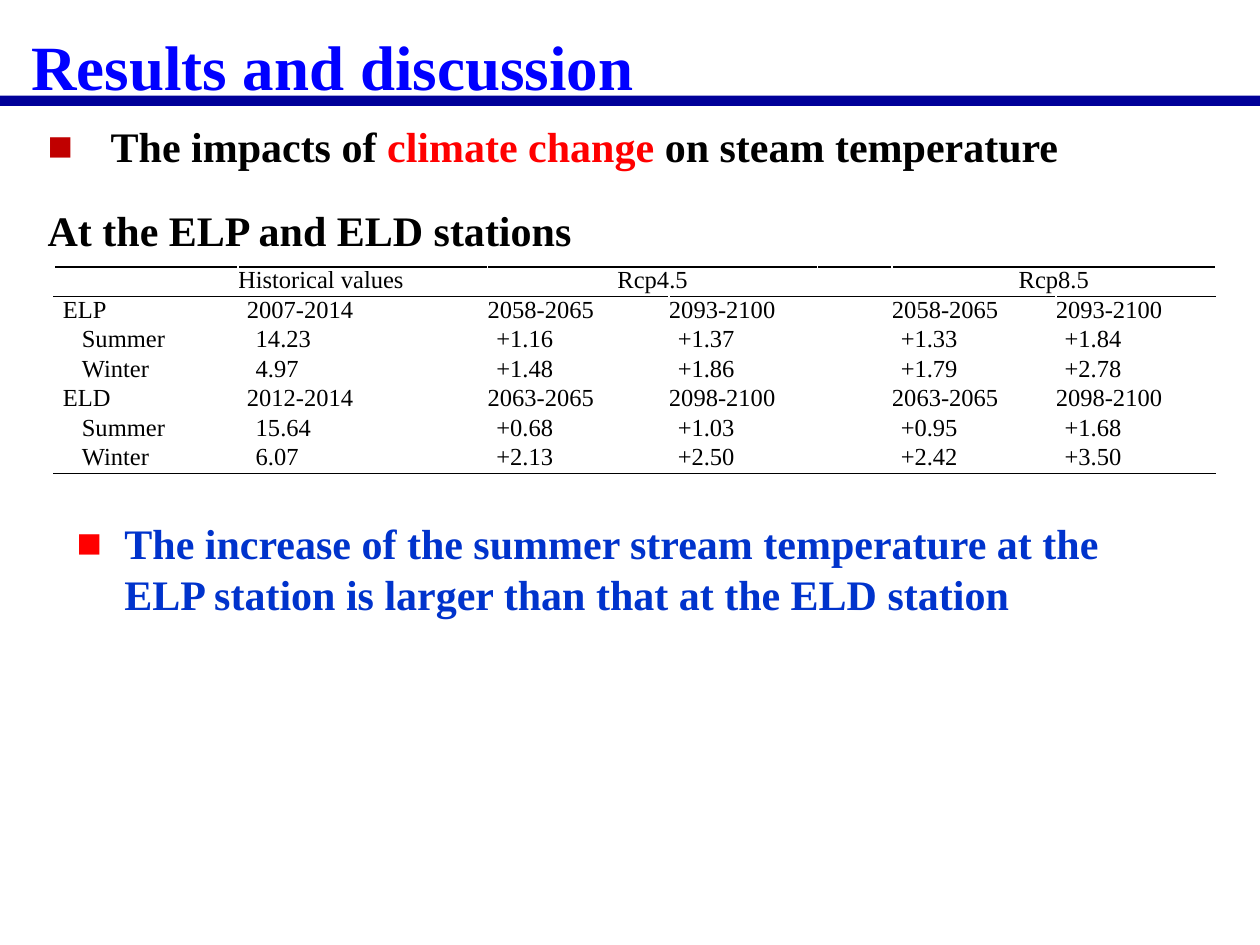
from dataclasses import dataclass
from typing import Any

from lxml.etree import SubElement
from pptx import Presentation
from pptx.dml.color import RGBColor
from pptx.enum.shapes import MSO_SHAPE as Shape
from pptx.enum.text import MSO_ANCHOR as Anchor, PP_ALIGN as Align
from pptx.oxml.ns import qn
from pptx.util import Inches, Pt

BLACK = RGBColor(0, 0, 0)
TITLE_BLUE = RGBColor(0, 0, 0xFF)
RULE_BLUE = RGBColor(0, 0, 0x99)
FINDING_BLUE = RGBColor(0, 0x33, 0xCC)
RED = RGBColor(0xFF, 0, 0)
DARK_RED = RGBColor(0xC0, 0, 0)

COLUMN_WIDTHS = [1.46, 1.98, 1.44, 1.18, 0.59, 1.3, 1.27]
TABLE_ROWS = [
    ["", "Historical values", "Rcp4.5", "", "", "Rcp8.5", ""],
    ["ELP", "2007-2014", "2058-2065", "2093-2100", "", "2058-2065", "2093-2100"],
    ["Summer", "14.23", "+1.16", "+1.37", "", "+1.33", "+1.84"],
    ["Winter", "4.97", "+1.48", "+1.86", "", "+1.79", "+2.78"],
    ["ELD", "2012-2014", "2063-2065", "2098-2100", "", "2063-2065", "2098-2100"],
    ["Summer", "15.64", "+0.68", "+1.03", "", "+0.95", "+1.68"],
    ["Winter", "6.07", "+2.13", "+2.50", "", "+2.42", "+3.50"],
]
STATION_ROWS = (1, 4)
SCENARIO_COLUMNS = (2, 5)
SEASON_INDENTS = {0: 0.15, 1: 0.07}


def add_span(para, text, font="Times New Roman", size=24, color=BLACK, bold=True):
    span = para.add_run()
    span.text = text
    span.font.name = font
    span.font.size = Pt(size)
    span.font.color.rgb = color
    span.font.bold = bold
    return span


def set_indent(para, first, left=0):
    properties = para._p.get_or_add_pPr()
    properties.set("marL", str(Inches(left)))
    properties.set("indent", str(Inches(first)))
    return properties


def add_bullet(para, indent, color):
    properties = set_indent(para, -indent, indent)
    SubElement(SubElement(properties, qn("a:buClr")), qn("a:srgbClr"), val=str(color))
    SubElement(properties, qn("a:buFont"), typeface="Times New Roman")
    SubElement(properties, qn("a:buChar"), char="■")


def add_border(cell, side):
    line = SubElement(cell._tc.get_or_add_tcPr(), qn(f"a:ln{side}"), w=str(Pt(1)))
    SubElement(SubElement(line, qn("a:solidFill")), qn("a:srgbClr"), val=str(BLACK))


@dataclass
class SlideBuilder:
    page: Any
    table_size: int = 14
    cell_inset: float = 0.07

    def text(self, left, top, width, height, anchor=Anchor.TOP):
        box = self.page.shapes.add_textbox(
            Inches(left), Inches(top), Inches(width), Inches(height))
        box.text_frame.word_wrap = True
        box.text_frame.vertical_anchor = anchor
        return box.text_frame.paragraphs[0]

    def bar(self, left, top, width, height, color):
        bar = self.page.shapes.add_shape(
            Shape.RECTANGLE, Inches(left), Inches(top), Inches(width), Inches(height))
        bar.shadow.inherit = False
        bar.fill.solid()
        bar.fill.fore_color.rgb = color
        bar.line.fill.background()

    def table(self, left, top, height, widths, rows):
        table = self.page.shapes.add_table(
            len(rows), len(widths), Inches(left), Inches(top),
            Inches(sum(widths)), Inches(height)).table
        table.first_row = False
        table.horz_banding = False
        for column, width in zip(table.columns, widths):
            column.width = Inches(width)
        for r, values in enumerate(rows):
            for c, value in enumerate(values):
                self.cell(table.cell(r, c), value, r, c, len(rows) - 1)
        for c in SCENARIO_COLUMNS:
            table.cell(0, c).merge(table.cell(0, c + 1))

    def cell(self, cell, value, r, c, last):
        flush = (r, c) == (0, 1) or (r in STATION_ROWS and c > 1)
        cell.margin_left = cell.margin_right = Inches(0 if flush else self.cell_inset)
        cell.margin_top = cell.margin_bottom = 0
        para = cell.text_frame.paragraphs[0]
        if r == 0 and c in SCENARIO_COLUMNS:
            para.alignment = Align.CENTER
        if r > 0 and r not in STATION_ROWS and c in SEASON_INDENTS:
            set_indent(para, SEASON_INDENTS[c])
        if value:
            add_span(para, value, size=self.table_size, bold=False)
        else:
            SubElement(para._p, qn("a:endParaRPr"), sz=str(self.table_size * 100))
        if r in (0, 1):
            add_border(cell, "T")
        if r in (0, last):
            add_border(cell, "B")
        cell.fill.background()


def main():
    deck = Presentation()
    deck.slide_width, deck.slide_height = Inches(10), Inches(7.5)
    slide = SlideBuilder(deck.slides.add_slide(deck.slide_layouts[6]))

    title = slide.text(0.15, 0.05, 7.16, 0.75)
    title.line_spacing = 1.2
    title.space_before = Pt(7.2)
    add_span(title, "Results and discussion", size=36, color=TITLE_BLUE)
    slide.bar(0, 0.76, 10, 0.08, RULE_BLUE)

    topic = slide.text(0.28, 0.91, 9.72, 0.5)
    add_bullet(topic, 0.5, DARK_RED)
    add_span(topic, "The impacts of ")
    add_span(topic, "climate change ", color=RED)
    add_span(topic, "on steam temperature")

    stations = slide.text(0.28, 1.55, 4.86, 0.55, anchor=Anchor.MIDDLE)
    add_span(stations, "At the ELP and ELD stations")
    slide.table(0.43, 2.12, 1.63, COLUMN_WIDTHS, TABLE_ROWS)

    finding = slide.text(0.51, 4.06, 8.5, 1.72)
    add_bullet(finding, 0.38, RED)
    add_span(finding, "The increase of the summer stream temperature at the ELP station "
                      "is larger than that at the ELD station", color=FINDING_BLUE)

    deck.save("out.pptx")


if __name__ == "__main__":
    main()
